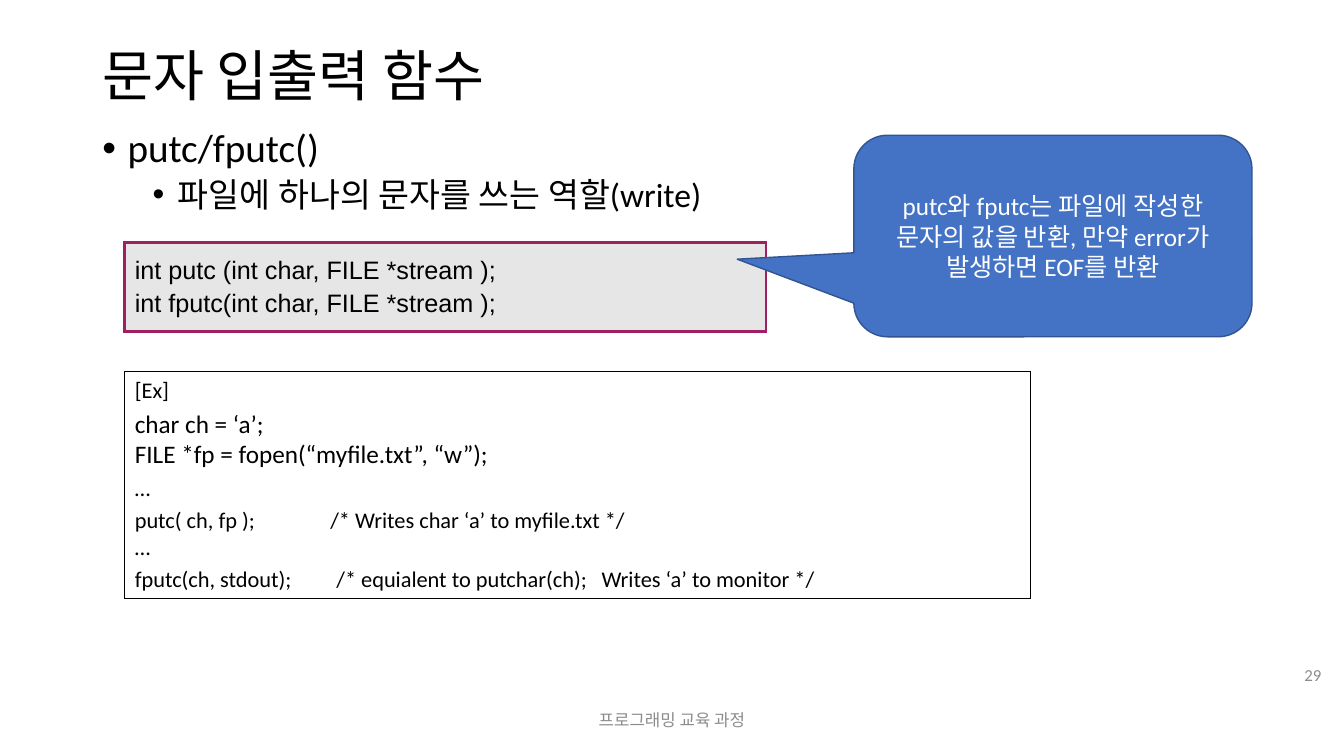
from lxml import etree
from pptx import Presentation
from pptx.dml.color import RGBColor
from pptx.enum.shapes import MSO_SHAPE
from pptx.enum.text import MSO_ANCHOR, PP_ALIGN
from pptx.oxml.ns import qn
from pptx.util import Inches, Pt

CALLOUT = MSO_SHAPE.ROUNDED_RECTANGULAR_CALLOUT
TOP, MIDDLE = MSO_ANCHOR.TOP, MSO_ANCHOR.MIDDLE
LEFT, CENTER, RIGHT = PP_ALIGN.LEFT, PP_ALIGN.CENTER, PP_ALIGN.RIGHT
WIDTH, HEIGHT = Inches(13.333), Inches(7.5)
COLS, ROWS = 160, 90
BLACK, WHITE, GRAY = "000000", "FFFFFF", "8C8C8C"


def color(value):
    """Turn a hex string into a colour."""
    return RGBColor.from_string(value)


def grid(x, y, w, h):
    """Turn grid columns and rows into slide lengths."""
    return [int(n * unit) for n, unit in
            zip((x, y, w, h), (WIDTH / COLS, HEIGHT / ROWS) * 2)]


def add_run(p, text, size, ink=BLACK, font="Calibri"):
    """Add one formatted run to a paragraph."""
    r = p.add_run()
    r.text = text
    r.font.size, r.font.name = Pt(size), font
    r.font.color.rgb = color(ink)


def next_paragraph(tf, index):
    """Return the first paragraph of a frame or append another."""
    return tf.add_paragraph() if index else tf.paragraphs[0]


def add_box(s, box, anchor=TOP):
    """Add a wrapping text box and return its frame."""
    tf = s.shapes.add_textbox(*grid(*box)).text_frame
    tf.word_wrap, tf.vertical_anchor = True, anchor
    return tf


def add_label(s, box, text, size, ink, align):
    """Place a single line centred vertically in its box."""
    p = add_box(s, box, MIDDLE).paragraphs[0]
    p.alignment, p.line_spacing = align, 0.9
    add_run(p, text, size, ink)


def add_bullets(s, box, items):
    """Place bulleted lines given as text, size and left margin."""
    tf = add_box(s, box)
    for i, (text, size, margin) in enumerate(items):
        p = next_paragraph(tf, i)
        p.line_spacing = 0.9
        if i:
            p.space_before = Pt(5)
        pPr = p._p.get_or_add_pPr()
        pPr.set("marL", str(Inches(margin)))
        pPr.set("indent", str(Inches(-0.25)))
        etree.SubElement(pPr, qn("a:buFont"), typeface="Arial")
        etree.SubElement(pPr, qn("a:buChar"), char="•")
        add_run(p, text, size)


def add_borders(cell, ink, width):
    """Draw the four borders of a cell."""
    tcPr = cell._tc.get_or_add_tcPr()
    for side in ("a:lnL", "a:lnR", "a:lnT", "a:lnB"):
        ln = etree.SubElement(tcPr, qn(side), w=str(Pt(width)))
        fill = etree.SubElement(ln, qn("a:solidFill"))
        etree.SubElement(fill, qn("a:srgbClr"), val=ink)


def add_tabs(p, stops):
    """Set the left tab stops of a paragraph in inches."""
    tabs = etree.SubElement(p._p.get_or_add_pPr(), qn("a:tabLst"))
    for stop in stops:
        etree.SubElement(tabs, qn("a:tab"), pos=str(Inches(stop)), algn="l")


def add_code(s, box, lines, border, fill=None, anchor=TOP, font="Calibri"):
    """Place a one-cell table of lines: text, size, gap share and tab stops."""
    table = s.shapes.add_table(1, 1, *grid(*box)).table
    table.first_row = table.horz_banding = False
    cell = table.cell(0, 0)
    add_borders(cell, *border)
    if fill:
        cell.fill.solid()
        cell.fill.fore_color.rgb = color(fill)
    else:
        cell.fill.background()
    cell.vertical_anchor = anchor
    for i, (text, size, gap, stops) in enumerate(lines):
        p = next_paragraph(cell.text_frame, i)
        if gap:
            p.space_before = Pt(size * gap)
        if stops:
            add_tabs(p, stops)
        for j, part in enumerate(text.split("\n")):
            if j:
                p.add_line_break()
            add_run(p, part, size, font=font)


def add_callout(s, box, text):
    """Place the rounded callout pointing at the prototypes."""
    sp = s.shapes.add_shape(CALLOUT, *grid(*box))
    sp.shadow.inherit = False
    for i, value in enumerate((-0.793, 0.115, 0.167)):
        sp.adjustments[i] = value
    sp.fill.solid()
    sp.fill.fore_color.rgb = color("4472C4")
    sp.line.color.rgb = color("325491")
    sp.line.width = Pt(1)
    tf = sp.text_frame
    tf.word_wrap, tf.vertical_anchor = True, MIDDLE
    p = tf.paragraphs[0]
    p.alignment = CENTER
    add_run(p, text, 18, WHITE)


def build_slide(prs):
    """Build the character output slide."""
    s = prs.slides.add_slide(prs.slide_layouts[6])
    add_label(s, (11, 4.8, 138, 9), "문자 입출력 함수", 39.6, BLACK, LEFT)
    add_bullets(s, (11, 14.75, 138, 66.4), [
        ("putc/fputc()", 28, 0.25),
        ("파일에 하나의 문자를 쓰는 역할(write)", 24, 0.75),
    ])
    add_label(s, (53, 83.4, 54, 4.8), "프로그래밍 교육 과정", 12, GRAY, CENTER)
    add_label(s, (151.05, 78.1, 7.45, 4.8), "29", 12, GRAY, RIGHT)
    add_code(s, (14.85, 28.9, 76.35, 10.55), [
        ("int putc (int char, FILE *stream );", 18, 0, ()),
        ("int fputc(int char, FILE *stream );", 18, 0.2, ()),
    ], ("9F1F63", 2.25), "E7E6E6", MIDDLE, "Arial")
    add_code(s, (14.85, 44.25, 107.8, 27), [
        ("[Ex]", 16, 0, ()),
        ("char ch = ‘a’;", 18, 0.2, ()),
        ("FILE *fp = fopen(“myfile.txt”, “w”);", 18, 0, ()),
        ("…", 16, 0.2, ()),
        ("putc( ch, fp );\t/* Writes char ‘a’ to myfile.txt */\n…", 16, 0.2, (1.94,)),
        ("fputc(ch, stdout);\t/* equialent to putchar(ch);\tWrites ‘a’ to monitor */",
         16, 0.2, (2, 4.63)),
    ], (BLACK, 1))
    add_callout(s, (101.65, 16.1, 47.4, 24),
                "putc와 fputc는 파일에 작성한 문자의 값을 반환, 만약 error가 발생하면 EOF를 반환")


def main():
    """Create and save the presentation."""
    prs = Presentation()
    prs.slide_width, prs.slide_height = WIDTH, HEIGHT
    build_slide(prs)
    prs.save("out.pptx")


if __name__ == "__main__":
    main()
